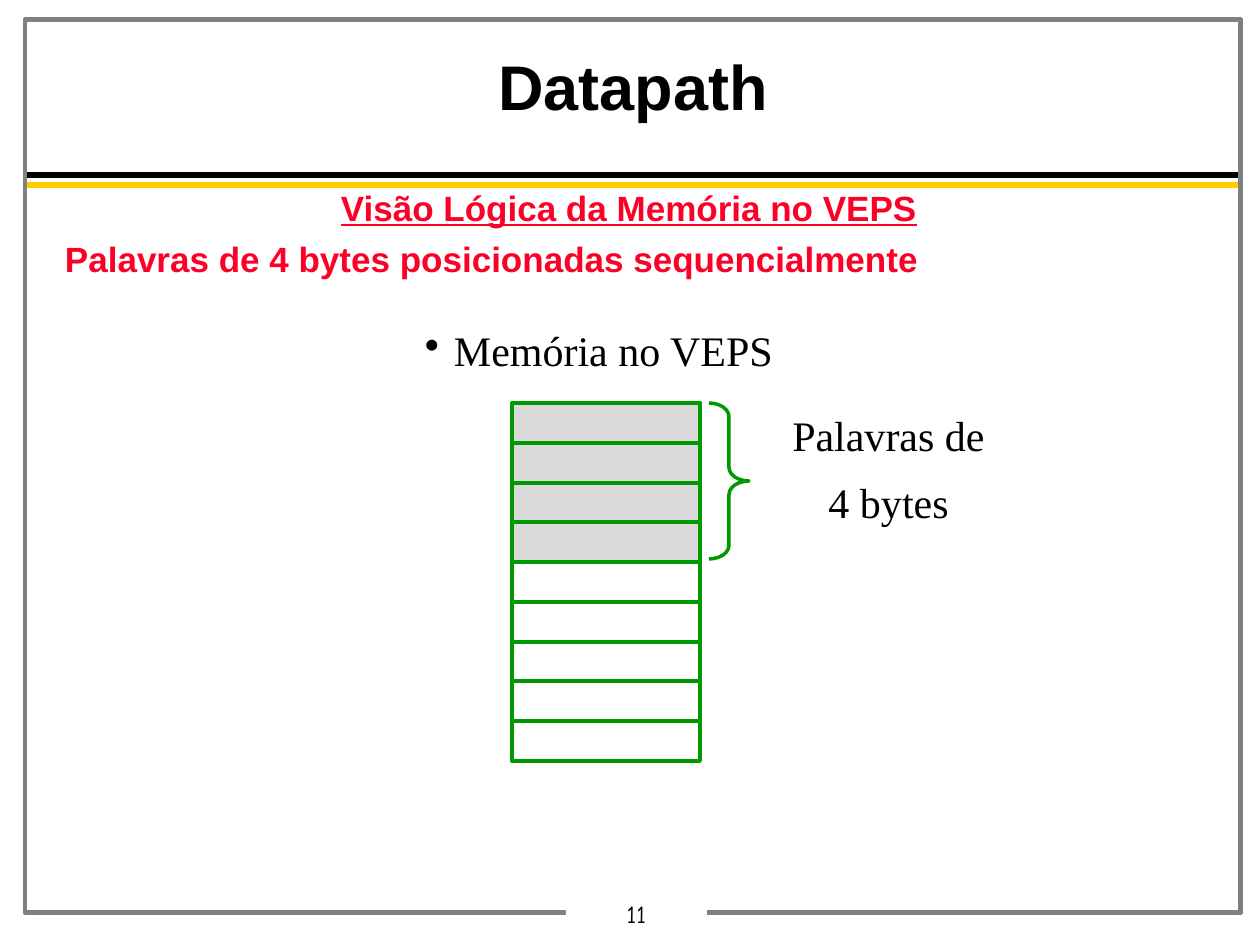
import dataclasses

import pptx
import pptx.dml.color
import pptx.enum.shapes
import pptx.enum.text
import pptx.util
from lxml import etree
from pptx.oxml.ns import qn

SCALE = 914400 / 126  # EMU per px


@dataclasses.dataclass(frozen=True)
class Theme:
    black: str = "000000"
    yellow: str = "FFCC00"
    frame: str = "808080"
    white: str = "FFFFFF"
    red: str = "FC0128"
    green: str = "009900"
    word_fill: str = "DADADA"
    heading_font: str = "Arial"
    label_font: str = "Times New Roman"
    number_font: str = "Comic Neue"
    title_size: int = 36
    body_size: int = 20
    label_size: int = 24
    number_size: int = 14


theme = Theme()
rgb = pptx.dml.color.RGBColor.from_string
SHAPE = pptx.enum.shapes.MSO_SHAPE
CENTER = pptx.enum.text.PP_ALIGN.CENTER
LEFT = pptx.enum.text.PP_ALIGN.LEFT

presentation = pptx.Presentation()
presentation.slide_width = round(1260 * SCALE)
presentation.slide_height = round(945 * SCALE)
slide = presentation.slides.add_slide(presentation.slide_layouts[6])


def add_outline(kind, box, line=None, width=2, fill=None):
    """Add a preset shape; without a line or fill colour that part is empty."""
    shape = slide.shapes.add_shape(kind, *[round(px * SCALE) for px in box])
    shape.shadow.inherit = False
    if fill:
        shape.fill.solid()
        shape.fill.fore_color.rgb = rgb(fill)
    else:
        shape.fill.background()
    if line:
        shape.line.color.rgb = rgb(line)
        shape.line.width = pptx.util.Pt(width)
    else:
        shape.line.fill.background()
    return shape


def add_rule(left, right, y, color, width):
    """Add a horizontal line."""
    rule = slide.shapes.add_connector(
        pptx.enum.shapes.MSO_CONNECTOR.STRAIGHT,
        *[round(px * SCALE) for px in (left, y, right, y)])
    rule.line.color.rgb = rgb(color)
    rule.line.width = pptx.util.Pt(width)
    etree.SubElement(rule._element.spPr, qn("a:effectLst"))


# Header rules, frame and the gap in it for the slide number
add_rule(25, 1240, 175, theme.black, 3)
add_rule(25, 1240, 185, theme.yellow, 3)
add_outline(SHAPE.RECTANGLE, (25, 20, 1216, 893), theme.frame, 2.83)
add_outline(SHAPE.RECTANGLE, (566, 898, 141, 34), fill=theme.white)

# Memory column: nine rows, the first four forming one word
rows, word_rows = 9, 4
left, top, width, height = 512, 403, 188, 358
row_tops = [top + round(height * row / rows) for row in range(rows)]
add_outline(SHAPE.RECTANGLE, (left, top, width, height), theme.green, 2.25)
for row_top in row_tops[word_rows:]:
    add_rule(left, left + width, row_top, theme.green, 2)
for row_top in row_tops[:word_rows]:
    add_outline(SHAPE.RECTANGLE, (left, row_top, width, 40), theme.green, 2, theme.word_fill)
brace = add_outline(SHAPE.RIGHT_BRACE, (709, top, 40, 156), theme.green)
brace.adjustments[0] = 0.34

# Each text: box, inset x and y, font, size, colour, bold, line spacing,
# space before later paragraphs, then (text, alignment, underline, bullet)
texts = [
    ((25, 49, 1216, 123), (9, 4), theme.heading_font, theme.title_size, theme.black, True, 0.95, 0,
     [("Datapath", CENTER, False, False)]),
    ((52, 185, 1154, 242), (13, 6), theme.heading_font, theme.body_size, theme.red, True, 0.9, 7.5,
     [("Visão Lógica da Memória no VEPS", CENTER, True, False),
      ("Palavras de 4 bytes posicionadas sequencialmente", LEFT, False, False)]),
    ((412, 319, 387, 63), (13, 6), theme.label_font, theme.label_size, theme.black, False, 1.0, 0,
     [("Memória no VEPS", LEFT, False, True)]),
    ((760, 403, 257, 131), (13, 6), theme.label_font, theme.label_size, theme.black, False, 1.0, 10,
     [("Palavras de", CENTER, False, False), ("4 bytes", CENTER, False, False)]),
    ((566, 898, 141, 34), (9, 4), theme.number_font, theme.number_size, theme.black, False, 0.9, 0,
     [("11", CENTER, False, False)]),
]
for box, inset, font, size, color, bold, spacing, before, paragraphs in texts:
    frame = slide.shapes.add_textbox(*[round(px * SCALE) for px in box]).text_frame
    frame.word_wrap = True
    frame.margin_left = frame.margin_right = round(inset[0] * SCALE)
    frame.margin_top = frame.margin_bottom = round(inset[1] * SCALE)
    for index, (text, alignment, underline, bullet) in enumerate(paragraphs):
        paragraph = frame.add_paragraph() if index else frame.paragraphs[0]
        paragraph.alignment = alignment
        paragraph.line_spacing = spacing
        if index:
            paragraph.space_before = pptx.util.Pt(before)
        if bullet:
            properties = paragraph._p.get_or_add_pPr()
            properties.set("marL", str(round(29 * SCALE)))
            properties.set("indent", str(round(-29 * SCALE)))
            bullet_color = etree.SubElement(properties, qn("a:buClr"))
            etree.SubElement(bullet_color, qn("a:srgbClr"), val=theme.black)
            etree.SubElement(properties, qn("a:buChar"), char="•")
        run = paragraph.add_run()
        run.text = text
        run.font.name = font
        run.font.size = pptx.util.Pt(size)
        run.font.bold = bold
        run.font.underline = underline
        run.font.color.rgb = rgb(color)

presentation.save("out.pptx")
